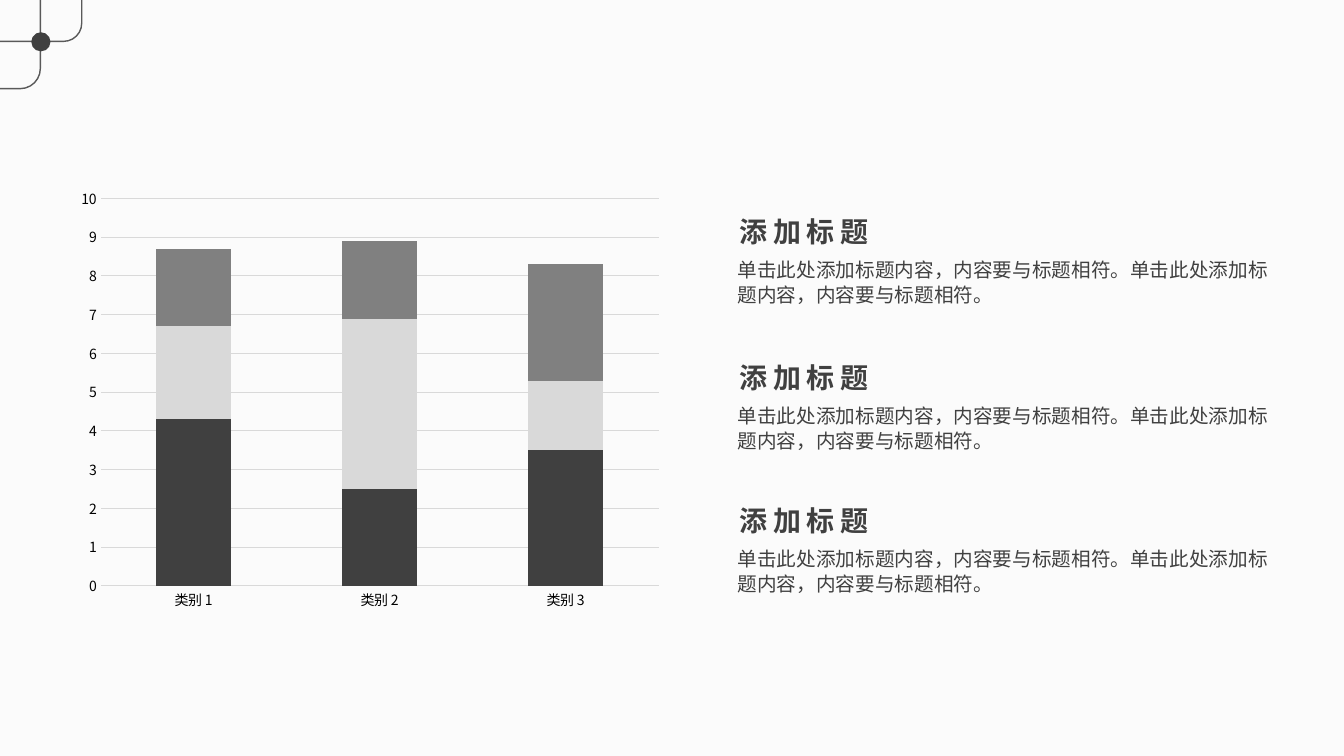
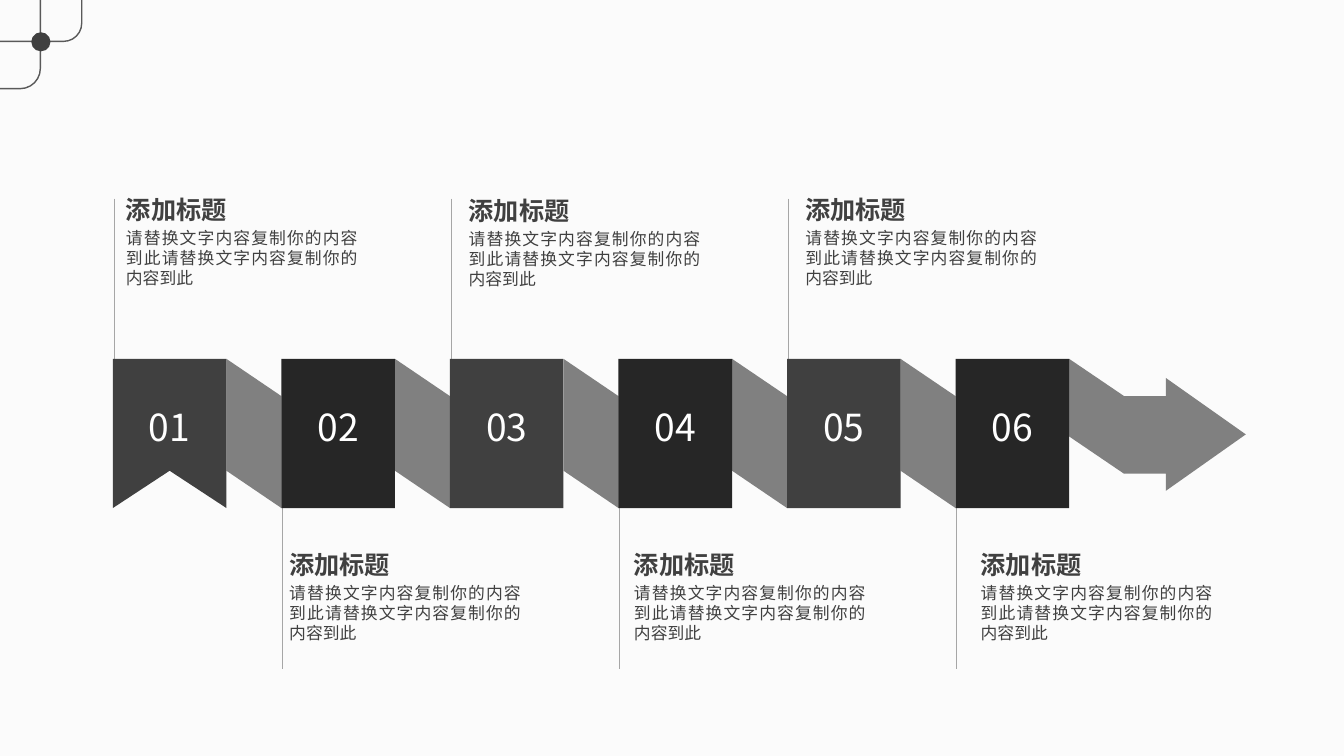
from dataclasses import dataclass
from typing import Any

from lxml import etree
from pptx import Presentation
from pptx import util as u
from pptx.chart import data as cd
from pptx.dml.color import RGBColor
from pptx.enum import chart as ch
from pptx.enum import shapes, text
from pptx.oxml import parse_xml
from pptx.oxml.ns import nsdecls, qn

FONT = "Noto Sans CJK SC"
PAPER = RGBColor(0xFB, 0xFB, 0xFB)
WHITE = RGBColor(0xFF, 0xFF, 0xFF)
BLACK = RGBColor(0, 0, 0)
COAL = RGBColor(0x26, 0x26, 0x26)
DARK = RGBColor(0x40, 0x40, 0x40)
OUTLINE = RGBColor(0x59, 0x59, 0x59)
MID = RGBColor(0x80, 0x80, 0x80)
RULE = RGBColor(0xA6, 0xA6, 0xA6)
LIGHT = RGBColor(0xD9, 0xD9, 0xD9)

W, H = u.Inches(13.333), u.Inches(7.5)
COL, ROW = W / 100, H / 100

HEADING = "添加标题"
POINT_BODY = "单击此处添加标题内容，内容要与标题相符。" * 2
STEP_BODY = "请替换文字内容复制你的内容到此" * 2

POINT_HEAD_STYLE = {"size": u.Pt(20), "bold": True}
POINT_BODY_STYLE = {"size": u.Pt(14)}
STEP_HEAD_STYLE = {"size": u.Pt(18), "bold": True}
STEP_BODY_STYLE = {"size": u.Pt(12), "bold": False}
NUMBER_STYLE = {"size": u.Pt(26.6)}
STEP_MARGINS = {
    "margin_left": u.Inches(0.13),
    "margin_right": u.Inches(0.13),
    "margin_top": u.Inches(0.07),
    "margin_bottom": u.Inches(0.07),
}
JUSTIFIED = {"alignment": text.PP_ALIGN.JUSTIFY}

POINT_ROWS = (27.73, 47.07, 66)
STEP_X, STEP_PITCH, STEP_W = 8.4, 12.54, 8.45
FOLD_W = STEP_PITCH - STEP_W
BAND_TOP, BAND_H = 47.47, 19.73
FOLD_DROP = BAND_H / 4


@dataclass(frozen=True)
class Box:
    col: float
    row: float
    cols: float
    rows: float

    def emu(self) -> tuple[int, int, int, int]:
        return (round(self.col * COL), round(self.row * ROW),
                round(self.cols * COL), round(self.rows * ROW))


@dataclass(frozen=True)
class Para:
    words: str
    font: dict[str, Any]
    color: RGBColor = DARK
    layout: dict[str, Any] | None = None
    spacing: int = 0


@dataclass(frozen=True)
class Step:
    number: str
    label_col: float
    label_row: float
    fill: RGBColor
    rule_rows: tuple[float, float]


ABOVE, BELOW = (26.27, 47.6), (67.07, 88.53)
STEPS = (
    Step("01", 8.4, 24.8, DARK, ABOVE),
    Step("02", 20.55, 71.73, COAL, BELOW),
    Step("03", 33.9, 24.93, DARK, ABOVE),
    Step("04", 46.2, 71.73, COAL, BELOW),
    Step("05", 58.95, 24.8, DARK, ABOVE),
    Step("06", 72, 71.73, COAL, BELOW),
)


def set_all(target: Any, values: dict[str, Any]) -> None:
    for name, value in values.items():
        setattr(target, name, value)


def add_east_asian_font(root: Any) -> None:
    for latin in list(root.iter(qn("a:latin"))):
        ea = etree.Element(qn("a:ea"))
        ea.set("typeface", FONT)
        latin.addnext(ea)


def add_text(s: Any, box: Box, paras: list[Para], frame: dict[str, Any] | None = None) -> None:
    tf = s.shapes.add_textbox(*box.emu()).text_frame
    set_all(tf, {"word_wrap": True, **(frame or {})})
    for i, para in enumerate(paras):
        p = tf.paragraphs[0] if i == 0 else tf.add_paragraph()
        set_all(p, para.layout or {})
        r = p.add_run()
        r.text = para.words
        set_all(r.font, {"name": FONT, **para.font})
        r.font.color.rgb = para.color
        if para.spacing:
            r.font._element.set("spc", str(para.spacing))


def paint(sp: Any, fill: RGBColor) -> None:
    sp.shadow.inherit = False
    sp.fill.solid()
    sp.fill.fore_color.rgb = fill
    sp.line.fill.background()


def add_polygon(s: Any, points: list[tuple[float, float]], fill: RGBColor) -> None:
    spots = [(round(x * COL), round(y * ROW)) for x, y in points]
    builder = s.shapes.build_freeform(*spots[0], scale=1.0)
    builder.add_line_segments(spots[1:], close=True)
    paint(builder.convert_to_shape(), fill)


def add_fold(s: Any, col: float, depth: float) -> None:
    low = BAND_TOP + FOLD_DROP
    add_polygon(s, [(col, BAND_TOP), (col + FOLD_W, low),
                    (col + FOLD_W, low + depth), (col, BAND_TOP + depth)], MID)


def add_rule(s: Any, col: float, rows: tuple[float, float]) -> None:
    x, (y1, y2) = round(col * COL), (round(row * ROW) for row in rows)
    line = s.shapes.add_connector(shapes.MSO_CONNECTOR.STRAIGHT, x, y1, x, y2)
    line.line.color.rgb = RULE
    line.line.width = u.Pt(0.5)
    etree.SubElement(line.element.spPr, qn("a:effectLst"))


def decorate_master(prs: Any, s: Any) -> None:
    master = prs.slide_master
    master.background.fill.solid()
    master.background.fill.fore_color.rgb = PAPER
    corner = []
    for box, radius in ((Box(-10.28, -6, 13.28, 17.73), 0.15),
                        (Box(-4.8, -4.93, 10.88, 10.4), 0.23)):
        sp = s.shapes.add_shape(shapes.MSO_SHAPE.ROUNDED_RECTANGLE, *box.emu())
        sp.adjustments[0] = radius
        sp.shadow.inherit = False
        sp.fill.background()
        sp.line.color.rgb = OUTLINE
        sp.line.width = u.Pt(1)
        corner.append(sp)
    dot = s.shapes.add_shape(shapes.MSO_SHAPE.OVAL, *Box(2.33, 4.27, 1.43, 2.53).emu())
    paint(dot, DARK)
    for shape_id, sp in enumerate([*corner, dot], start=101):
        sp.element.nvSpPr.cNvPr.set("id", str(shape_id))
        master.shapes.element.append(sp.element)


def add_stacked_chart(s: Any, box: Box) -> None:
    data = cd.CategoryChartData()
    data.categories = ["类别 1", "类别 2", "类别 3"]
    data.add_series("Series 1", (4.3, 2.5, 3.5))
    data.add_series("Series 2", (2.4, 4.4, 1.8))
    data.add_series("Series 3", (2, 2, 3))
    chart = s.shapes.add_chart(ch.XL_CHART_TYPE.COLUMN_STACKED, *box.emu(), data).chart
    set_all(chart, {"has_title": False, "has_legend": False})
    set_all(chart.font, {"name": FONT, "size": u.Pt(10)})
    chart.font.color.rgb = BLACK
    plot = chart.plots[0]
    set_all(plot, {"gap_width": 150, "overlap": 100, "vary_by_categories": False})
    for series, color in zip(plot.series, (DARK, LIGHT, MID)):
        series.format.fill.solid()
        series.format.fill.fore_color.rgb = color
    for axis in (chart.category_axis, chart.value_axis):
        axis.major_tick_mark = axis.minor_tick_mark = ch.XL_TICK_MARK.NONE
        axis.format.line.fill.background()
    value_axis = chart.value_axis
    set_all(value_axis, {"minimum_scale": 0, "maximum_scale": 10, "major_unit": 1})
    grid = value_axis.major_gridlines.format.line
    grid.color.rgb = LIGHT
    grid.width = u.Pt(0.75)
    parts = {"layoutTarget": "inner", "xMode": "edge", "yMode": "edge",
             "x": 0.046, "y": 0.028, "w": 0.918, "h": 0.83}
    inner = "".join(f'<c:{name} val="{value}"/>' for name, value in parts.items())
    layout = parse_xml(f'<c:layout {nsdecls("c")}><c:manualLayout>{inner}'
                       "</c:manualLayout></c:layout>")
    area = chart.element.find(f'.//{qn("c:plotArea")}')
    for old in area.findall(qn("c:layout")):
        area.remove(old)
    area.insert(0, layout)
    add_east_asian_font(chart.element)


def build_chart_slide(s: Any) -> None:
    add_stacked_chart(s, Box(5.4, 24.53, 45.23, 61.73))
    for row in POINT_ROWS:
        add_text(s, Box(54.15, row + 5.47, 41.4, 11.33),
                 [Para(POINT_BODY, POINT_BODY_STYLE, layout={"line_spacing": u.Pt(18)})])
        add_text(s, Box(54.3, row, 15, 5.87),
                 [Para(HEADING, POINT_HEAD_STYLE, spacing=400)])


def build_steps_slide(s: Any) -> None:
    cols = [STEP_X + i * STEP_PITCH for i in range(len(STEPS))]
    for col, step in zip(cols, STEPS):
        add_rule(s, col + 0.08, step.rule_rows)
    for col in cols[:-1]:
        add_fold(s, col + STEP_W, BAND_H - FOLD_DROP)
    add_fold(s, cols[-1] + STEP_W, 10.27)

    tail, neck, tip = cols[-1] + STEP_PITCH, 86.75, 92.7
    add_polygon(s, [(tail, 52.4), (neck, 52.4), (neck, 50), (tip, 57.47),
                    (neck, 64.93), (neck, 62.67), (tail, 62.67)], MID)

    bottom = BAND_TOP + BAND_H
    for col, step in zip(cols, STEPS):
        if col == STEP_X:
            add_polygon(s, [(col, BAND_TOP), (col + STEP_W, BAND_TOP),
                            (col + STEP_W, bottom),
                            (col + STEP_W / 2, bottom - FOLD_DROP), (col, bottom)], step.fill)
        else:
            block = Box(col, BAND_TOP, STEP_W, BAND_H)
            paint(s.shapes.add_shape(shapes.MSO_SHAPE.RECTANGLE, *block.emu()), step.fill)
        add_text(s, Box(col + STEP_W / 2 - 5.25, 49.87, 10.5, 13.2),
                 [Para(step.number, NUMBER_STYLE, WHITE,
                       {"alignment": text.PP_ALIGN.CENTER})],
                 {"vertical_anchor": text.MSO_ANCHOR.MIDDLE})
        add_text(s, Box(step.label_col, step.label_row, 19.2, 18.13),
                 [Para(HEADING, STEP_HEAD_STYLE, layout=JUSTIFIED),
                  Para(STEP_BODY, STEP_BODY_STYLE,
                       layout={**JUSTIFIED, "space_before": u.Pt(2)})],
                 STEP_MARGINS)


def main() -> None:
    prs = Presentation()
    prs.slide_width, prs.slide_height = W, H
    blank = prs.slide_layouts[6]
    for i, build in enumerate((build_chart_slide, build_steps_slide)):
        s = prs.slides.add_slide(blank)
        if i == 0:
            decorate_master(prs, s)
        build(s)
        add_east_asian_font(s.shapes.element)
    prs.save("out.pptx")


if __name__ == "__main__":
    main()
